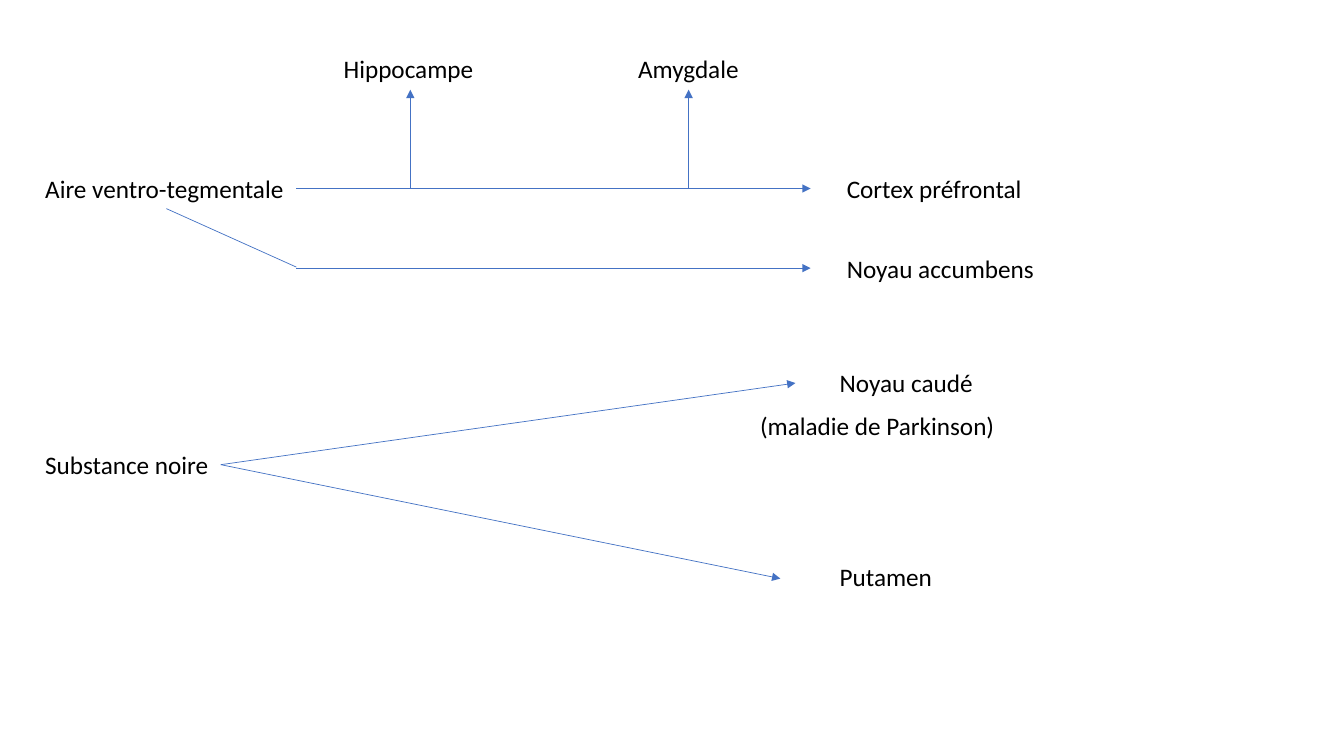
"""Build a slide mapping dopamine pathways between brain regions."""
from lxml import etree
from pptx import Presentation
from pptx import util as u
from pptx.dml.color import RGBColor
from pptx.enum import shapes, text
from pptx.oxml import ns


def color(fmt, code):
    fmt.rgb = RGBColor.from_string(code)


deck = Presentation()
deck.slide_width = u.Inches(13.33)
deck.slide_height = u.Inches(7.5)
slide = deck.slides.add_slide(deck.slide_layouts[6])

left, start, end = 0.35, 2.94, 8.04
axis, lower = 1.87, 2.66
nigra = (2.19, 4.61)

labels = [
    ("Aire ventro-tegmentale", left, 1.67, 2.59),
    ("Cortex préfrontal", 8.3, 1.67, 1.95),
    ("Hippocampe", 3.31, 0.48, 1.5),
    ("Amygdale", 6.23, 0.48, 1.21),
    ("Noyau accumbens", 8.3, 2.46, 2.08),
    ("Substance noire", left, 4.41, 1.84),
    ("Noyau caudé", 8.23, 3.59, 1.54),
    ("Putamen", 8.23, 5.52, 1.13),
    ("(maladie de Parkinson)", 7.44, 4.02, 2.55),
]
for name, x, y, wide in labels:
    box = slide.shapes.add_textbox(
        u.Inches(x), u.Inches(y), u.Inches(wide), u.Inches(0.4))
    frame = box.text_frame
    frame.text = name
    frame.word_wrap = False
    frame.auto_size = text.MSO_AUTO_SIZE.SHAPE_TO_FIT_TEXT
    font = frame.paragraphs[0].runs[0].font
    font.name = "Calibri"
    font.size = u.Pt(18)
    color(font.color, "000000")

paths = [
    ((start, axis), (end, axis), True),
    ((4.07, axis), (4.07, 0.89), True),
    ((6.83, axis), (6.83, 0.89), True),
    ((start, lower), (end, lower), True),
    ((1.65, 2.07), (start, 2.65), False),
    (nigra, (7.89, 3.8), True),
    (nigra, (7.74, 5.74), True),
]
for tail, tip, arrow in paths:
    line = slide.shapes.add_connector(
        shapes.MSO_CONNECTOR.STRAIGHT, *map(u.Inches, tail + tip))
    color(line.line.color, "4472C4")
    line.line.width = u.Pt(0.5)
    props = line._element.spPr
    if arrow:
        etree.SubElement(props.find(ns.qn("a:ln")), ns.qn("a:tailEnd"), type="triangle")
    etree.SubElement(props, ns.qn("a:effectLst"))

deck.save("out.pptx")
